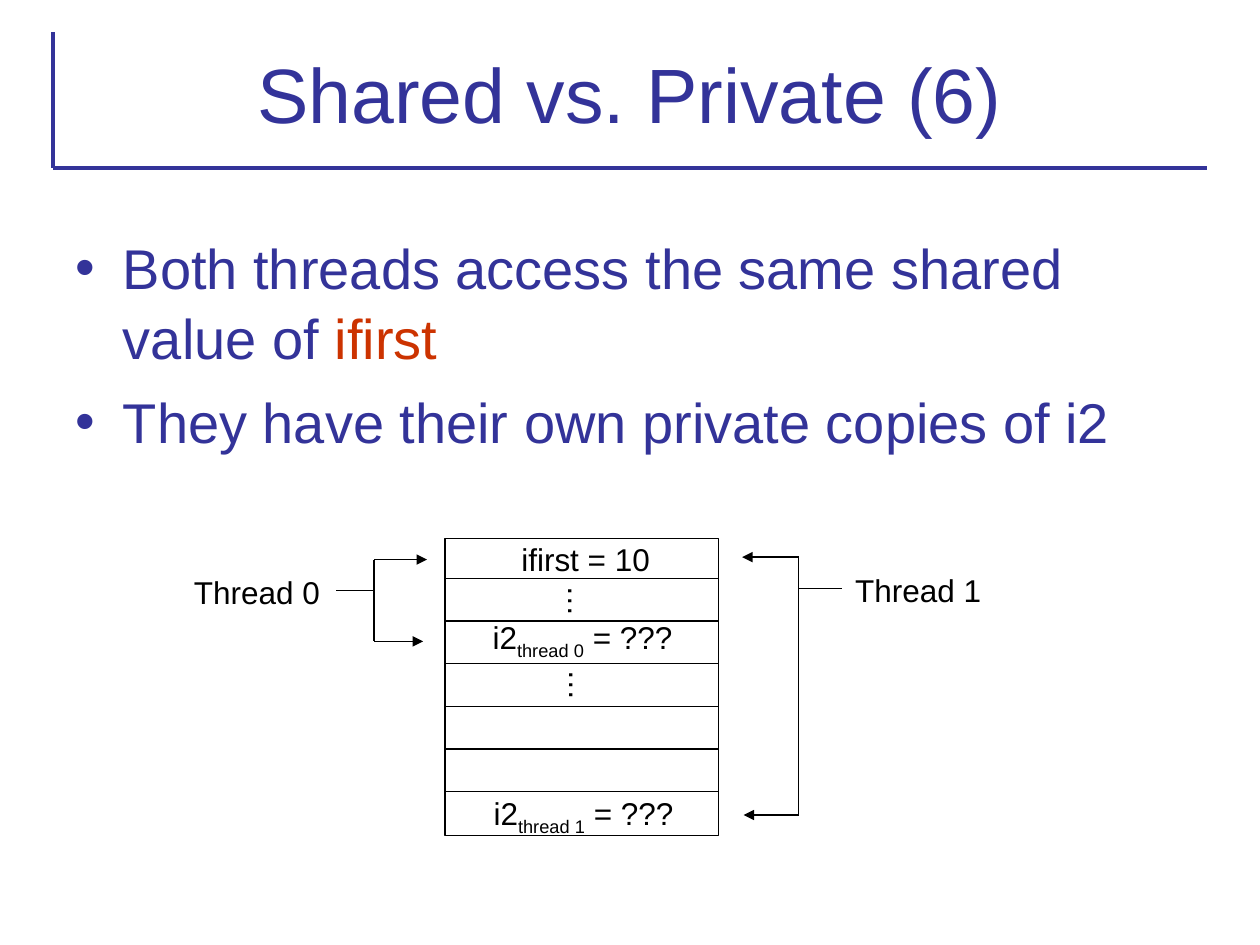
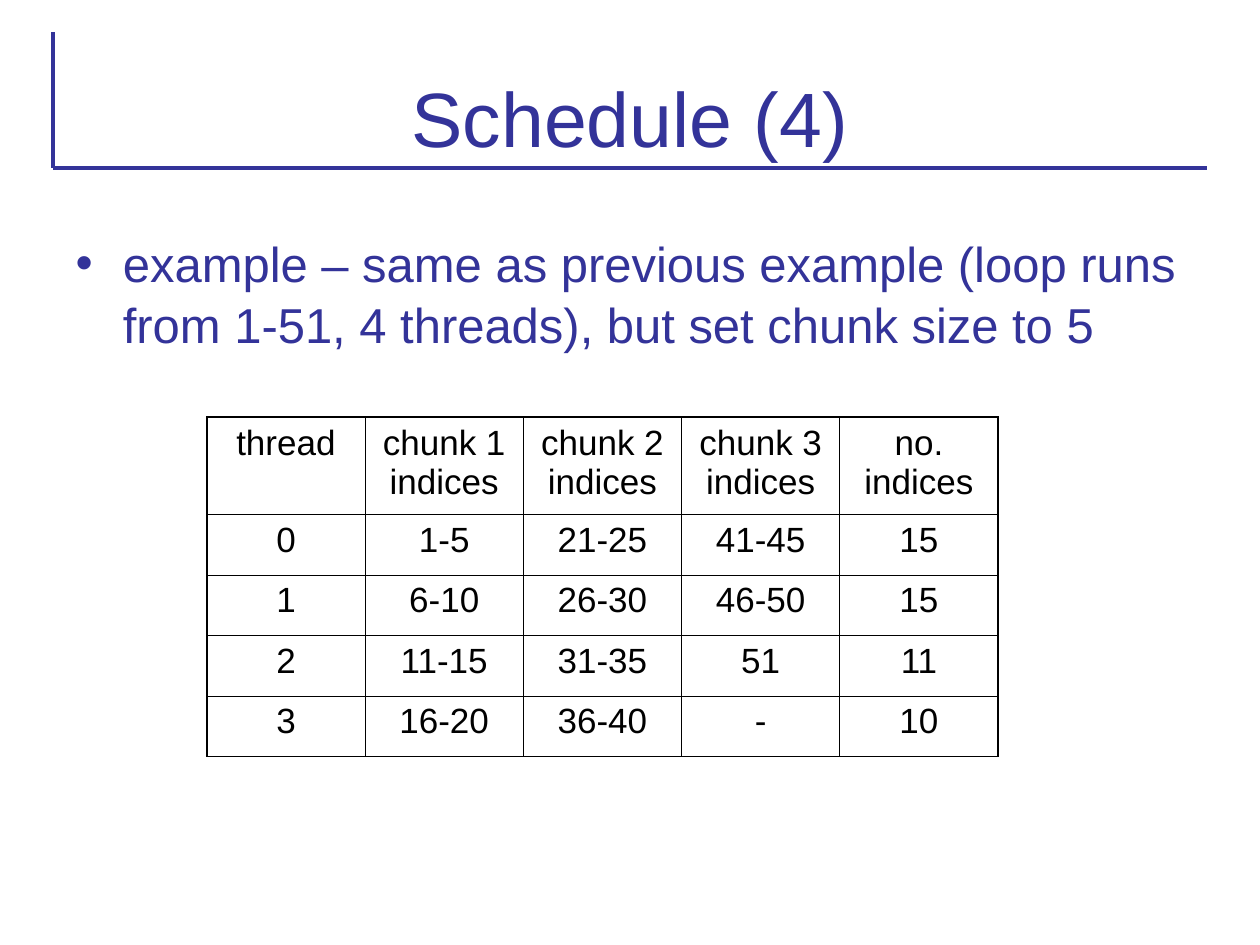
from lxml import etree
from pptx import Presentation
from pptx.dml.color import RGBColor
from pptx.enum.shapes import MSO_CONNECTOR, MSO_SHAPE
from pptx.enum.text import MSO_ANCHOR, MSO_AUTO_SIZE, PP_ALIGN
from pptx.oxml.ns import qn
from pptx.util import Cm, Pt

STRAIGHT = MSO_CONNECTOR.STRAIGHT
RECTANGLE = MSO_SHAPE.RECTANGLE
MIDDLE = MSO_ANCHOR.MIDDLE
CENTER = PP_ALIGN.CENTER
NO_AUTOFIT = MSO_AUTO_SIZE.NONE

FONT = "Arial"
INDIGO, RED, BLACK, WHITE = "333399", "CC3300", "000000", "FFFFFF"
SUBSCRIPT = "-25000"
TITLE_AND_CONTENT = 1

# Title frame, in cm
FRAME_LEFT, FRAME_RIGHT, FRAME_TOP, FRAME_BOTTOM = 1.06, 24.34, 0.64, 3.38

# Bullets are lists of (text, colour) runs; boxes are left, top, width, height in cm
SHARED = {
    "title": "Shared vs. Private (6)",
    "title_box": (1.27, 0.64, 22.86, 2.47),
    "body_box": (1.27, 4.45, 22.86, 12.57),
    "size": 32,
    "space": 8,
    "bullets": [
        [("Both threads access the same shared value of ", INDIGO), ("ifirst", RED)],
        [("They have their own private copies of i2", INDIGO)],
    ],
}
SCHEDULE = {
    "title": "Schedule (4)",
    "title_box": (1.27, 0.76, 22.86, 3.18),
    "body_box": (1.27, 4.45, 23.19, 12.57),
    "size": 28,
    "space": 7,
    "bullets": [
        [("example – same as previous example (loop runs from 1-51, 4 threads), "
          "but set chunk size to 5", INDIGO)],
    ],
}

# Memory column: the first cell is a little lower than the others
MEMORY_BOX = (8.97, 10.85, 5.51, 5.99)
FIRST_CELL, CELL_STEP, DIVIDERS = 0.81, 0.86, 6

# Label: text, subscript, text after it, box, rotation
LABELS = [
    ("ifirst = 10", "", "", (10.26, 10.77, 3.1, 1.02), 0),
    ("…", "", "", (11.13, 11.61, 1.14, 1.02), 90),
    ("i2", "thread 0", " = ???", (9.68, 12.34, 4.14, 1.12), 0),
    ("…", "", "", (11.15, 13.31, 1.14, 1.02), 90),
    ("i2", "thread 1", " = ???", (9.7, 15.88, 4.14, 1.12), 0),
    ("Thread 0", "", "", (3.66, 11.43, 3.05, 1.02), 0),
    ("Thread 1", "", "", (16.99, 11.38, 3.05, 1.02), 0),
]

# Bracket: x and y where the stem starts, x of the trunk, arrow tips
BRACKETS = [
    ((6.78, 11.91), 7.54, [(8.61, 11.28), (8.53, 12.93)]),
    ((16.97, 11.86), 16.1, [(14.96, 11.23), (14.99, 16.43)]),
]

CHUNKS = [
    ["thread", "chunk 1 indices", "chunk 2 indices", "chunk 3 indices", "no. indices"],
    ["0", "1-5", "21-25", "41-45", "15"],
    ["1", "6-10", "26-30", "46-50", "15"],
    ["2", "11-15", "31-35", "51", "11"],
    ["3", "16-20", "36-40", "-", "10"],
]
CHUNKS_LEFT, CHUNKS_TOP, COLUMN_WIDTH = 4.17, 8.41, 3.19
HEADER_HEIGHT, ROW_HEIGHT = 1.96, 1.22
OUTER_BORDER, INNER_BORDER = 1.08, 0.45


def rgb(color):
    return RGBColor.from_string(color)


def place(shape, box):
    shape.left, shape.top, shape.width, shape.height = map(Cm, box)


def style(run, size, color):
    run.font.name, run.font.size = FONT, Pt(size)
    run.font.color.rgb = rgb(color)


def add_line(slide, start, end, color=BLACK, width=0.75, arrow=False):
    line = slide.shapes.add_connector(STRAIGHT, *map(Cm, (*start, *end)))
    line.line.color.rgb, line.line.width = rgb(color), Pt(width)
    etree.SubElement(line._element.spPr, qn("a:effectLst"))
    if arrow:
        etree.SubElement(line.line._get_or_add_ln(), qn("a:tailEnd"), type="triangle")


def add_content_slide(prs, content):
    """Add a slide with the framed title and the bullet list."""
    slide = prs.slides.add_slide(prs.slide_layouts[TITLE_AND_CONTENT])
    title, body = slide.placeholders
    place(title, content["title_box"])
    title.text_frame.text = content["title"]
    title.text_frame.vertical_anchor = MIDDLE
    heading = title.text_frame.paragraphs[0]
    heading.alignment = CENTER
    style(heading.runs[0], 44, INDIGO)

    place(body, content["body_box"])
    frame = body.text_frame
    frame.auto_size = NO_AUTOFIT
    frame.margin_top = Cm(0.2)
    for number, bullet in enumerate(content["bullets"]):
        paragraph = frame.add_paragraph() if number else frame.paragraphs[0]
        paragraph.space_before = Pt(content["space"] if number else 0)
        paragraph.line_spacing = 1.04
        for text, color in bullet:
            run = paragraph.add_run()
            run.text = text
            style(run, content["size"], color)

    corner = (FRAME_LEFT, FRAME_BOTTOM)
    for end in [(FRAME_RIGHT, FRAME_BOTTOM), (FRAME_LEFT, FRAME_TOP)]:
        add_line(slide, corner, end, INDIGO, 2.25)
    return slide


def add_label(slide, text, subscript, rest, box, rotation):
    label = slide.shapes.add_textbox(*map(Cm, box))
    label.rotation = rotation
    label.text_frame.word_wrap = False
    paragraph = label.text_frame.paragraphs[0]
    for part in filter(None, (text, subscript, rest)):
        run = paragraph.add_run()
        run.text = part
        style(run, 18, BLACK)
        if part == subscript:
            run._r.get_or_add_rPr().set("baseline", SUBSCRIPT)


def add_memory(slide):
    left, top, width, _ = MEMORY_BOX
    memory = slide.shapes.add_shape(RECTANGLE, *map(Cm, MEMORY_BOX))
    memory.shadow.inherit = False
    memory.fill.solid()
    memory.fill.fore_color.rgb = rgb(WHITE)
    memory.line.color.rgb, memory.line.width = rgb(BLACK), Pt(0.75)
    for number in range(DIVIDERS):
        y = top + FIRST_CELL + number * CELL_STEP
        add_line(slide, (left, y), (left + width, y))


def add_bracket(slide, stem, trunk, tips):
    add_line(slide, stem, (trunk, stem[1]))
    add_line(slide, *[(trunk, y) for _, y in tips])
    for tip in tips:
        add_line(slide, (trunk, tip[1]), tip, arrow=True)


def add_border(cell, side, width):
    border = etree.SubElement(cell._tc.get_or_add_tcPr(), qn(f"a:ln{side}"), w=str(Pt(width)))
    fill = etree.SubElement(border, qn("a:solidFill"))
    etree.SubElement(fill, qn("a:srgbClr"), val=BLACK)


def add_chunk_table(slide):
    rows, columns = len(CHUNKS), len(CHUNKS[0])
    height = HEADER_HEIGHT + ROW_HEIGHT * (rows - 1)
    box = (CHUNKS_LEFT, CHUNKS_TOP, COLUMN_WIDTH * columns, height)
    table = slide.shapes.add_table(rows, columns, *map(Cm, box)).table
    table.first_row = table.horz_banding = False
    for column in table.columns:
        column.width = Cm(COLUMN_WIDTH)
    for r, values in enumerate(CHUNKS):
        table.rows[r].height = Cm(ROW_HEIGHT if r else HEADER_HEIGHT)
        for c, value in enumerate(values):
            cell = table.cell(r, c)
            cell.text_frame.text = value
            paragraph = cell.text_frame.paragraphs[0]
            paragraph.alignment = CENTER
            style(paragraph.runs[0], 20, BLACK)
            on_edge = {"L": c == 0, "R": c == columns - 1, "T": r == 0, "B": r == rows - 1}
            for side, outer in on_edge.items():
                add_border(cell, side, OUTER_BORDER if outer else INNER_BORDER)
            cell.fill.background()


def main():
    prs = Presentation()
    prs.slide_width, prs.slide_height = Cm(25.4), Cm(19.05)

    shared = add_content_slide(prs, SHARED)
    add_memory(shared)
    for label in LABELS:
        add_label(shared, *label)
    for bracket in BRACKETS:
        add_bracket(shared, *bracket)

    add_chunk_table(add_content_slide(prs, SCHEDULE))
    prs.save("out.pptx")


if __name__ == "__main__":
    main()
